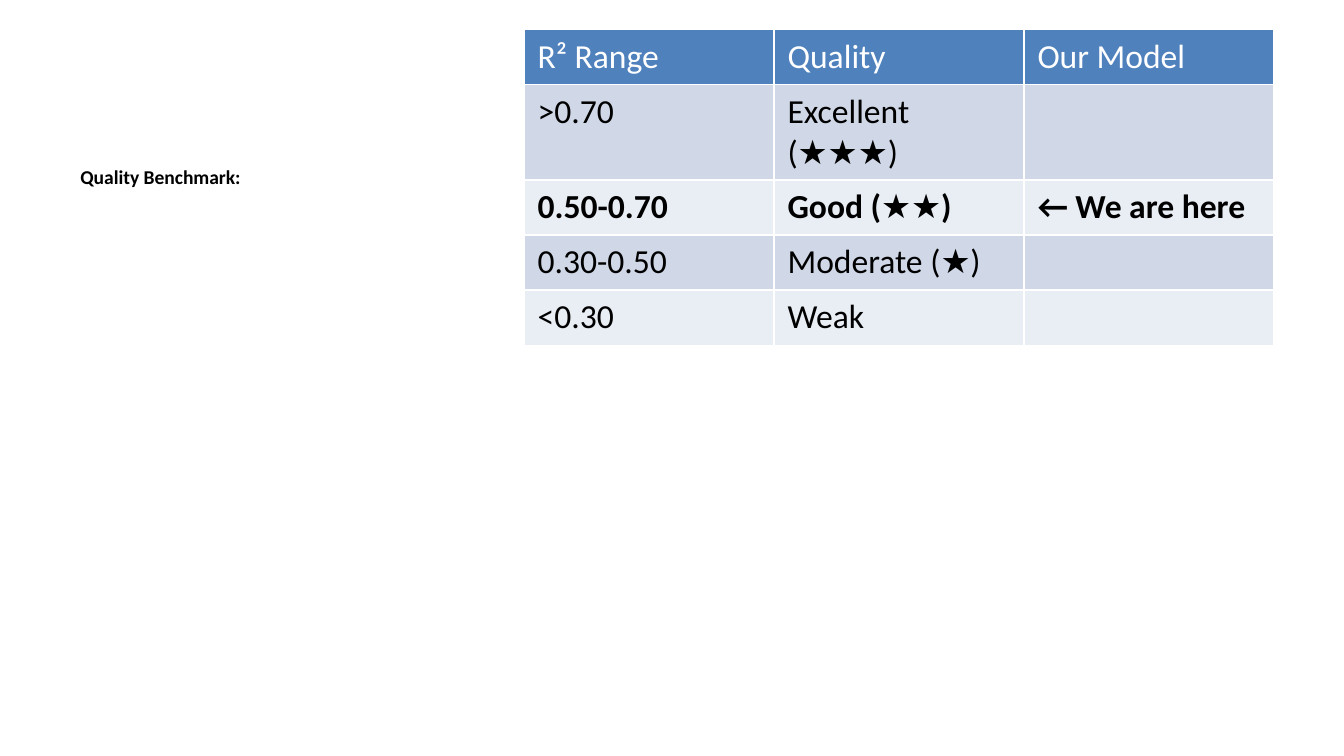
from dataclasses import dataclass

from pptx import Presentation
from pptx.dml.color import RGBColor
from pptx.util import Inches, Pt


@dataclass(frozen=True)
class Theme:
    font: str = "Calibri"
    label_size: float = 10.5
    table_size: float = 18
    ink: str = "000000"
    header_ink: str = "FFFFFF"
    header_fill: str = "4F81BD"
    band_fills: tuple = ("D0D8E8", "E9EDF4")


@dataclass(frozen=True)
class Box:
    left: float
    top: float
    width: float
    height: float

    def lengths(self):
        return [Inches(n) for n in (self.left, self.top, self.width, self.height)]


THEME = Theme()
HEADERS = ("R² Range", "Quality", "Our Model")
BENCHMARKS = (
    (">0.70", "Excellent (★★★)", ""),
    ("0.50-0.70", "Good (★★)", "← We are here"),
    ("0.30-0.50", "Moderate (★)", ""),
    ("<0.30", "Weak", ""),
)
OUR_ROW = 2
ROW_HEIGHT = 0.41
TALL_ROW, TALL_HEIGHT = 1, 0.71


def style_text(para, size, color, bold):
    for font in (para.font, *(span.font for span in para.runs)):
        font.name = THEME.font
        font.size = Pt(size)
        font.bold = bold
        font.color.rgb = RGBColor.from_string(color)


def add_label(page, box, text):
    frame = page.shapes.add_textbox(*box.lengths()).text_frame
    frame.word_wrap = True
    frame.text = text
    para = frame.paragraphs[0]
    para.space_before = Pt(30)
    style_text(para, THEME.label_size, THEME.ink, True)


def add_benchmark_table(page, box):
    rows = (HEADERS, *BENCHMARKS)
    table = page.shapes.add_table(len(rows), len(HEADERS), *box.lengths()).table
    for column in table.columns:
        column.width = Inches(box.width / len(HEADERS))
    for index, values in enumerate(rows):
        height = TALL_HEIGHT if index == TALL_ROW else ROW_HEIGHT
        table.rows[index].height = Inches(height)
        is_header = index == 0
        fill = THEME.header_fill if is_header else THEME.band_fills[(index - 1) % 2]
        ink = THEME.header_ink if is_header else THEME.ink
        for cell, value in zip(table.rows[index].cells, values):
            cell.fill.solid()
            cell.fill.fore_color.rgb = RGBColor.from_string(fill)
            cell.text_frame.text = value
            style_text(cell.text_frame.paragraphs[0], THEME.table_size, ink, index == OUR_ROW)


def main():
    deck = Presentation()
    deck.slide_width = Inches(10)
    deck.slide_height = deck.slide_width * 9 // 16
    page = deck.slides.add_slide(deck.slide_layouts[6])
    add_label(page, Box(0.5, 1.18, 3.29, 3.85), "Quality Benchmark:")
    add_benchmark_table(page, Box(3.9, 0.22, 5.58, 2.35))
    deck.save("out.pptx")


if __name__ == "__main__":
    main()
